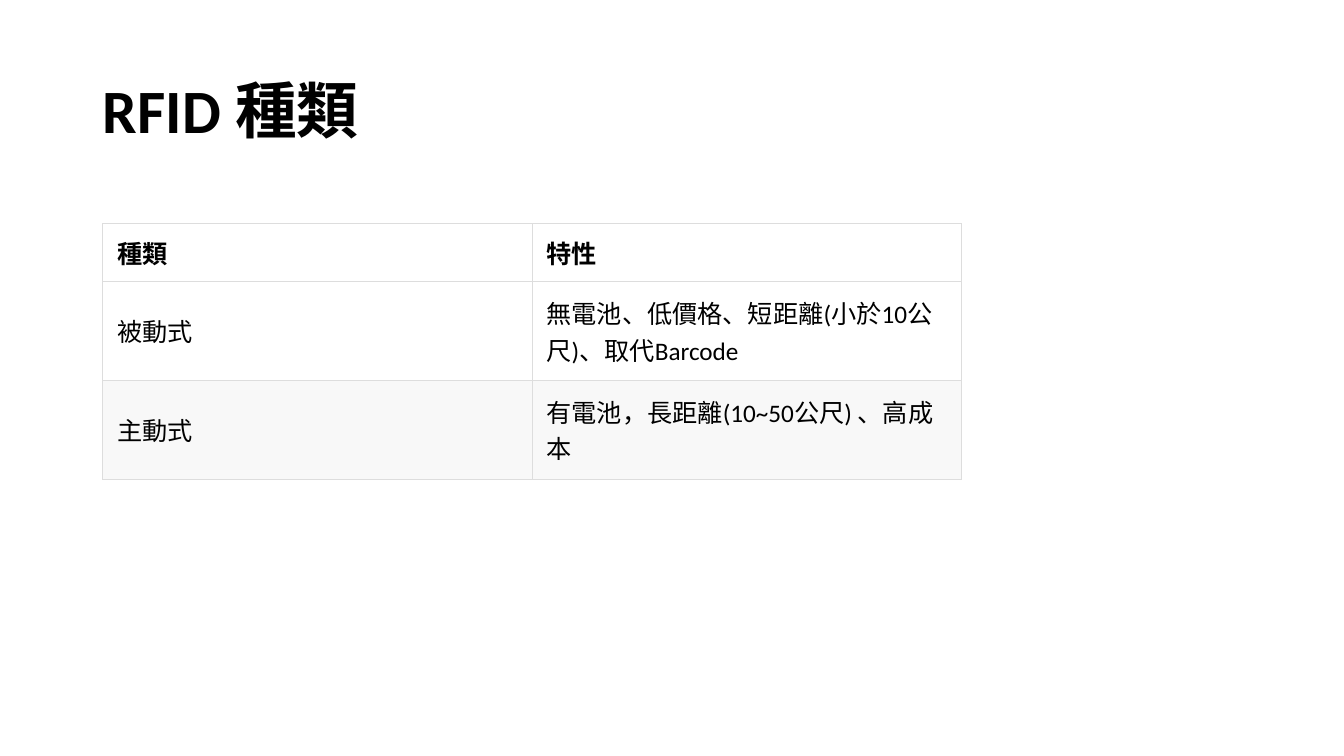
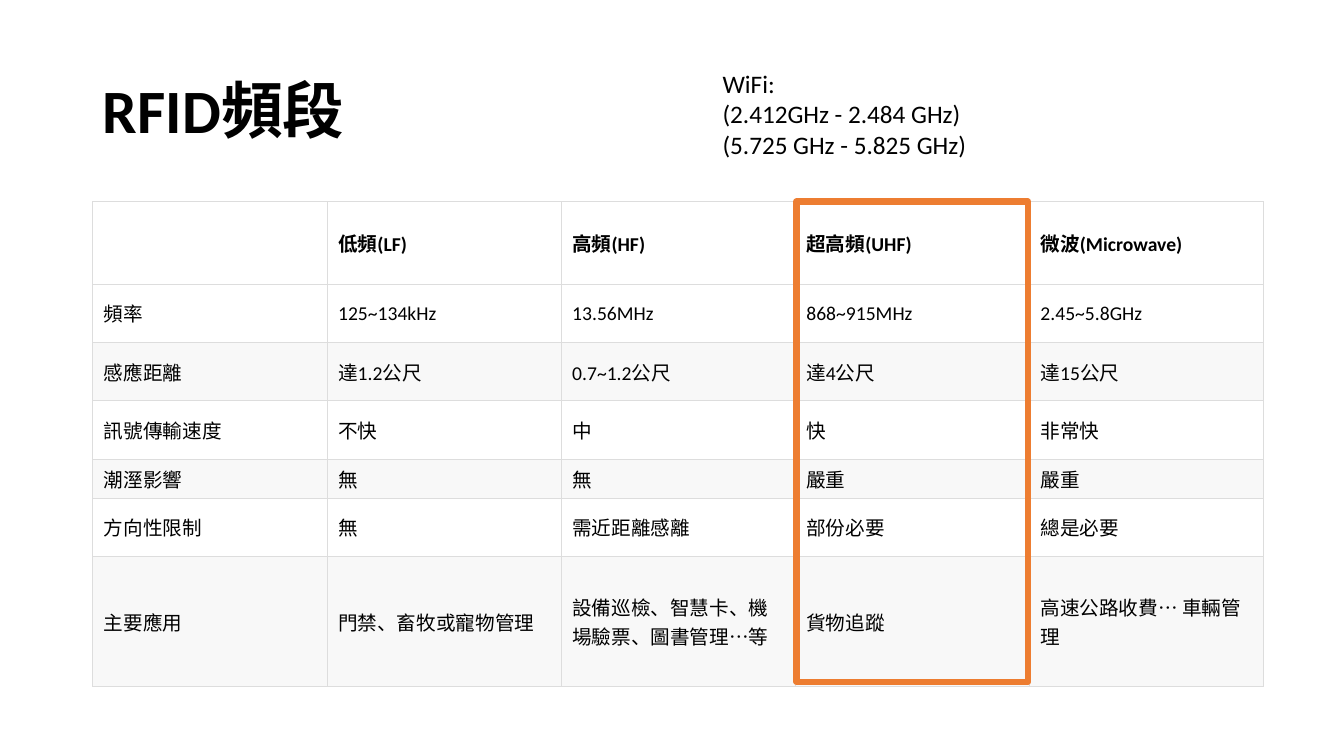
from dataclasses import dataclass

from lxml import etree
from pptx import Presentation
from pptx.dml.color import RGBColor
from pptx.enum.shapes import MSO_SHAPE
from pptx.enum.text import MSO_ANCHOR, MSO_AUTO_SIZE, PP_ALIGN
from pptx.oxml.ns import qn
from pptx.util import Cm, Pt

RECTANGLE = MSO_SHAPE.RECTANGLE
MIDDLE = MSO_ANCHOR.MIDDLE
LEFT = PP_ALIGN.LEFT
NO_AUTOFIT = MSO_AUTO_SIZE.NONE
GROW = MSO_AUTO_SIZE.SHAPE_TO_FIT_TEXT
TITLE_ONLY = 5


@dataclass(frozen=True)
class Theme:
    font: str = "Calibri"
    text: str = "000000"
    paper: str = "FFFFFF"
    stripe: str = "F8F8F8"
    border: str = "DDDDDD"
    accent: str = "ED7D31"
    title_size: float = 44
    body_size: float = 18
    small_size: float = 14
    border_width: float = 0.75
    accent_width: float = 4.5


@dataclass(frozen=True)
class TableLayout:
    """Lengths in centimetres."""
    left: float
    top: float
    column_width: float
    row_heights: tuple
    margin_x: float
    margin_y: float
    size: float


THEME = Theme()
TITLE_BOX = (2.34, 1.02, 29.21, 3.68)
NOTE_BOX = (17.96, 1.6, 9.8, 2.57)

KINDS_LAYOUT = TableLayout(2.59, 5.64, 10.82, (1.45, 2.49, 2.49),
                           0.36, 0.15, THEME.body_size)
KINDS = (
    ("種類", "特性"),
    ("被動式", "無電池、低價格、短距離(小於10公尺)、取代Barcode"),
    ("主動式", "有電池，長距離(10~50公尺) 、高成本"),
)

BANDS_LAYOUT = TableLayout(2.34, 5.08, 5.9,
                           (2.08, 1.47, 1.47, 1.47, 0.86, 1.47, 3.28),
                           0.28, 0.13, THEME.small_size)
BANDS = (
    ("", "低頻(LF)", "高頻(HF)", "超高頻(UHF)", "微波(Microwave)"),
    ("頻率", "125~134kHz", "13.56MHz", "868~915MHz", "2.45~5.8GHz"),
    ("感應距離", "達1.2公尺", "0.7~1.2公尺", "達4公尺", "達15公尺"),
    ("訊號傳輸速度", "不快", "中", "快", "非常快"),
    ("潮溼影響", "無", "無", "嚴重", "嚴重"),
    ("方向性限制", "無", "需近距離感離", "部份必要", "總是必要"),
    ("主要應用", "門禁、畜牧或寵物管理", "設備巡檢、智慧卡、機場驗票、圖書管理…等",
     "貨物追蹤", "高速公路收費… 車輛管理"),
)
UHF_COLUMN = 3
WIFI_LINES = ("WiFi:", "(2.412GHz - 2.484 GHz)", "(5.725 GHz - 5.825 GHz)")


def centimetres(box):
    return [Cm(length) for length in box]


def set_attributes(target, values):
    for name, value in values.items():
        setattr(target, name, value)


def format_paragraph(paragraph, size, bold=False):
    paragraph.alignment = LEFT
    set_attributes(paragraph.font, {"name": THEME.font, "size": Pt(size), "bold": bold})
    paragraph.font.color.rgb = RGBColor.from_string(THEME.text)


def add_titled_slide(presentation, text):
    slide = presentation.slides.add_slide(presentation.slide_layouts[TITLE_ONLY])
    title = slide.shapes.title
    set_attributes(title, dict(zip(("left", "top", "width", "height"),
                                   centimetres(TITLE_BOX))))
    frame = title.text_frame
    set_attributes(frame, {"text": text, "vertical_anchor": MIDDLE,
                           "auto_size": NO_AUTOFIT, "word_wrap": True})
    paragraph = frame.paragraphs[0]
    paragraph.line_spacing = 0.9
    format_paragraph(paragraph, THEME.title_size, bold=True)
    return slide


def add_cell_borders(cell):
    """Must run before the fill is set, as the schema puts borders first."""
    properties = cell._tc.get_or_add_tcPr()
    for side in ("a:lnL", "a:lnR", "a:lnT", "a:lnB"):
        line = etree.SubElement(properties, qn(side), w=str(Pt(THEME.border_width)))
        fill = etree.SubElement(line, qn("a:solidFill"))
        etree.SubElement(fill, qn("a:srgbClr"), val=THEME.border)


def format_cell(cell, text, layout, color, bold):
    add_cell_borders(cell)
    cell.fill.solid()
    cell.fill.fore_color.rgb = RGBColor.from_string(color)
    set_attributes(cell, {
        "text": text, "vertical_anchor": MIDDLE,
        "margin_left": Cm(layout.margin_x), "margin_right": Cm(layout.margin_x),
        "margin_top": Cm(layout.margin_y), "margin_bottom": Cm(layout.margin_y),
    })
    format_paragraph(cell.text_frame.paragraphs[0], layout.size, bold)


def add_striped_table(slide, rows, layout):
    column_count = len(rows[0])
    box = (layout.left, layout.top,
           layout.column_width * column_count, sum(layout.row_heights))
    table = slide.shapes.add_table(len(rows), column_count, *centimetres(box)).table
    set_attributes(table, {"first_row": False, "horz_banding": False})
    for column in table.columns:
        column.width = Cm(layout.column_width)
    for row_index, texts in enumerate(rows):
        table.rows[row_index].height = Cm(layout.row_heights[row_index])
        striped = row_index > 0 and row_index % 2 == 0
        color = THEME.stripe if striped else THEME.paper
        for column_index, text in enumerate(texts):
            format_cell(table.cell(row_index, column_index), text, layout,
                        color, bold=row_index == 0)


def add_column_frame(slide, layout, column_index):
    inset = 0.03
    box = (layout.left + column_index * layout.column_width + inset, layout.top,
           layout.column_width - 2 * inset, sum(layout.row_heights))
    frame = slide.shapes.add_shape(RECTANGLE, *centimetres(box))
    frame.shadow.inherit = False
    frame.fill.background()
    frame.line.color.rgb = RGBColor.from_string(THEME.accent)
    frame.line.width = Pt(THEME.accent_width)


def add_note(slide, lines, box):
    frame = slide.shapes.add_textbox(*centimetres(box)).text_frame
    set_attributes(frame, {"text": "\n".join(lines), "word_wrap": True, "auto_size": GROW})
    for paragraph in frame.paragraphs:
        format_paragraph(paragraph, THEME.body_size)


def build_kinds_slide(presentation):
    slide = add_titled_slide(presentation, "RFID 種類")
    add_striped_table(slide, KINDS, KINDS_LAYOUT)


def build_bands_slide(presentation):
    slide = add_titled_slide(presentation, "RFID頻段")
    add_striped_table(slide, BANDS, BANDS_LAYOUT)
    add_column_frame(slide, BANDS_LAYOUT, UHF_COLUMN)
    add_note(slide, WIFI_LINES, NOTE_BOX)


def main():
    presentation = Presentation()
    set_attributes(presentation, {"slide_width": Cm(33.87), "slide_height": Cm(19.05)})
    build_kinds_slide(presentation)
    build_bands_slide(presentation)
    presentation.save("out.pptx")


if __name__ == "__main__":
    main()
